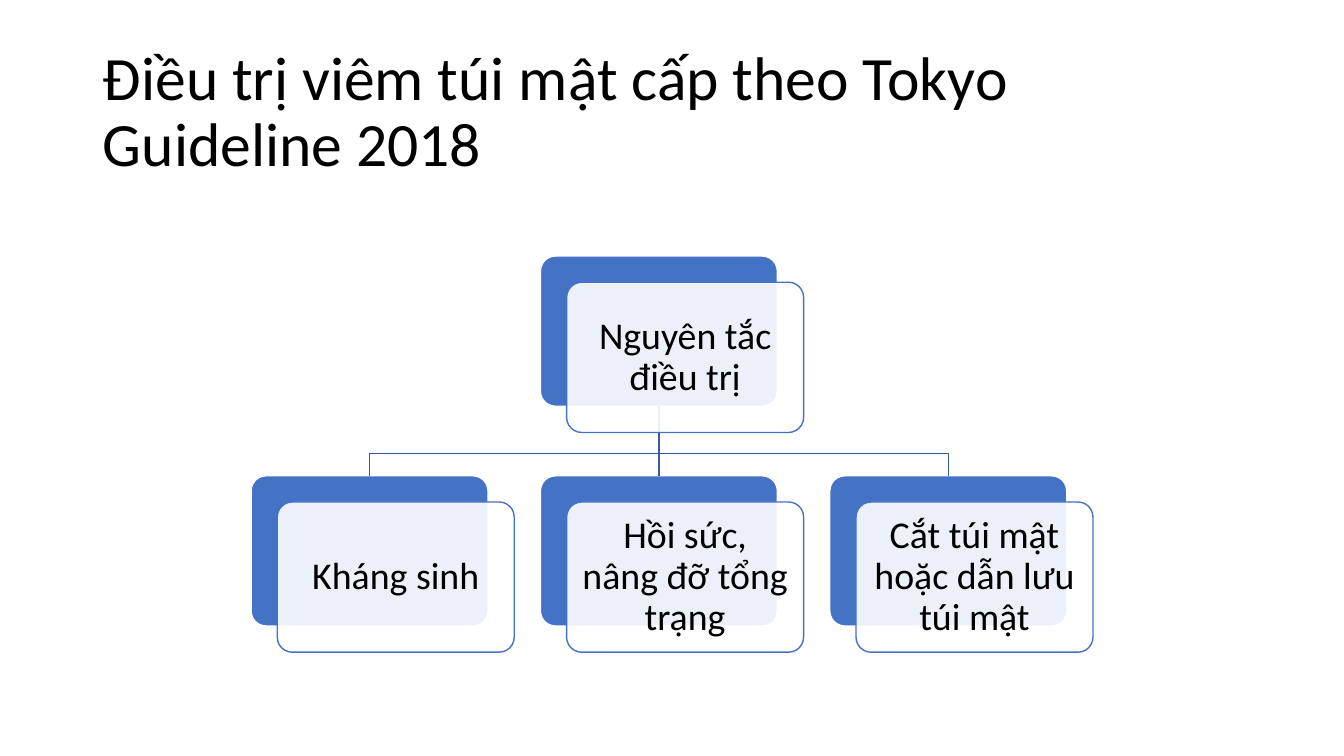
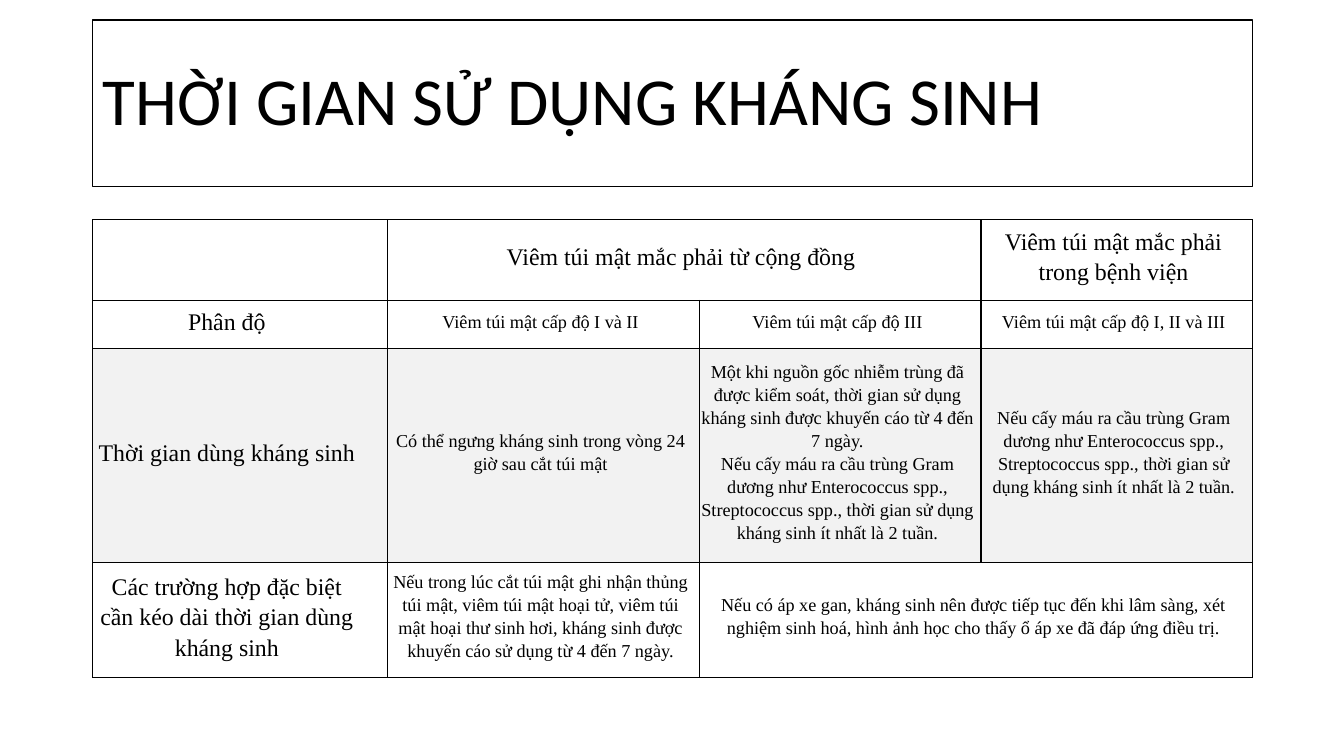
from dataclasses import dataclass

from lxml import etree
from pptx import Presentation
from pptx import util as u
from pptx.dml.color import RGBColor
from pptx.enum import shapes, text
from pptx.oxml import ns

COLORS = {
    "text": "000000",
    "paper": "FFFFFF",
    "accent": "4472C4",
    "branch": "365B9D",
    "shade": "F2F2F2",
}
HEADING_FONT = "Calibri"
TABLE_FONT = "Times New Roman"
LEFT, CONTENT_WIDTH = 0.92, 11.5
CARD_WIDTH, CARD_HEIGHT, CARD_OFFSET = 2.35, 1.49, 0.25
COLUMN_STEP = 2.87
ROOT_TOP, CHILD_TOP, BRANCH_Y = 2.54, 4.72, 4.5


@dataclass(frozen=True)
class Card:
    label: str
    left: float
    top: float

    @property
    def center(self) -> float:
        return self.left + CARD_WIDTH / 2


@dataclass(frozen=True)
class Entry:
    row: int
    column: int
    paragraphs: tuple[str, ...]
    span: int = 1


FIRST_LEFT = 2.49
ROOT = Card("Nguyên tắc điều trị", FIRST_LEFT + COLUMN_STEP, ROOT_TOP)
PRINCIPLES = [
    Card(label, FIRST_LEFT + index * COLUMN_STEP, CHILD_TOP)
    for index, label in enumerate((
        "Kháng sinh",
        "Hồi sức, nâng đỡ tổng trạng",
        "Cắt túi mật hoặc dẫn lưu túi mật",
    ))
]

COLUMN_WIDTHS = (2.92, 3.1, 2.79, 2.69)
ROW_HEIGHTS = (0.8, 0.48, 2.12, 1.14)
SHADED_ROW = 2
GRAM_POSITIVE = (
    "Nếu cấy máu ra cầu trùng Gram dương như Enterococcus spp., "
    "Streptococcus spp., thời gian sử dụng kháng sinh ít nhất là 2 tuần."
)
ENTRIES = (
    Entry(0, 1, ("Viêm túi mật mắc phải từ cộng đồng",), 2),
    Entry(0, 3, ("Viêm túi mật mắc phải trong bệnh viện",)),
    Entry(1, 0, ("Phân độ",)),
    Entry(1, 1, ("Viêm túi mật cấp độ I và II",)),
    Entry(1, 2, ("Viêm túi mật cấp độ III",)),
    Entry(1, 3, ("Viêm túi mật cấp độ I, II và III",)),
    Entry(2, 0, ("Thời gian dùng kháng sinh",)),
    Entry(2, 1, ("Có thể ngưng kháng sinh trong vòng 24 giờ sau cắt túi mật",)),
    Entry(2, 2, (
        "Một khi nguồn gốc nhiễm trùng đã được kiểm soát, thời gian sử dụng "
        "kháng sinh được khuyến cáo từ 4 đến 7 ngày.",
        GRAM_POSITIVE,
    )),
    Entry(2, 3, (GRAM_POSITIVE,)),
    Entry(3, 0, ("Các trường hợp đặc biệt cần kéo dài thời gian dùng kháng sinh",)),
    Entry(3, 1, (
        "Nếu trong lúc cắt túi mật ghi nhận thủng túi mật, viêm túi mật hoại tử, "
        "viêm túi mật hoại thư sinh hơi, kháng sinh được khuyến cáo sử dụng "
        "từ 4 đến 7 ngày.",
    )),
    Entry(3, 2, (
        "Nếu có áp xe gan, kháng sinh nên được tiếp tục đến khi lâm sàng, xét "
        "nghiệm sinh hoá, hình ảnh học cho thấy ổ áp xe đã đáp ứng điều trị.",
    ), 2),
)


def rgb(name: str) -> RGBColor:
    return RGBColor.from_string(COLORS[name])


def set_fill(target, color: str) -> None:
    target.fill.solid()
    target.fill.fore_color.rgb = rgb(color)


def set_line(target, color: str) -> None:
    target.line.color.rgb = rgb(color)
    target.line.width = u.Pt(1)


def set_margins(target, left: float, top: float, right: float, bottom: float) -> None:
    target.margin_left = u.Inches(left)
    target.margin_top = u.Inches(top)
    target.margin_right = u.Inches(right)
    target.margin_bottom = u.Inches(bottom)


def write(frame, paragraphs: tuple[str, ...], font: str, size: float,
          spacing: float, align=text.PP_ALIGN.CENTER) -> None:
    for index, content in enumerate(paragraphs):
        paragraph = frame.add_paragraph() if index else frame.paragraphs[0]
        paragraph.alignment = align
        paragraph.line_spacing = spacing
        run = paragraph.add_run()
        run.text = content
        run.font.name = font
        run.font.size = u.Pt(size)
        run.font.color.rgb = rgb("text")


def add_titled_slide(prs, heading: str, top: float, height: float, size: float):
    slide = prs.slides.add_slide(prs.slide_layouts[5])
    title = slide.shapes.title
    title.left, title.top = u.Inches(LEFT), u.Inches(top)
    title.width, title.height = u.Inches(CONTENT_WIDTH), u.Inches(height)
    frame = title.text_frame
    frame.word_wrap = True
    frame.auto_size = text.MSO_AUTO_SIZE.NONE
    frame.vertical_anchor = text.MSO_ANCHOR.MIDDLE
    write(frame, (heading,), HEADING_FONT, size, 0.9, text.PP_ALIGN.LEFT)
    return slide


def add_panel(slide, card: Card, offset: float, fill: str, line: str):
    panel = slide.shapes.add_shape(
        shapes.MSO_SHAPE.ROUNDED_RECTANGLE,
        u.Inches(card.left + offset), u.Inches(card.top + offset),
        u.Inches(CARD_WIDTH), u.Inches(CARD_HEIGHT))
    panel.adjustments[0] = 0.1
    panel.shadow.inherit = False
    set_fill(panel, fill)
    set_line(panel, line)
    return panel


def add_label(slide, card: Card) -> None:
    panel = add_panel(slide, card, CARD_OFFSET + 0.01, "paper", "accent")
    white = panel.fill._xPr.find(".//" + ns.qn("a:srgbClr"))
    etree.SubElement(white, ns.qn("a:alpha"), val="90000")
    frame = panel.text_frame
    frame.word_wrap = True
    frame.vertical_anchor = text.MSO_ANCHOR.MIDDLE
    set_margins(frame, 0.11, 0.11, 0.11, 0.11)
    write(frame, (card.label,), HEADING_FONT, 27, 0.9)


def add_straight_branch(slide, root_panel, child_panel) -> None:
    branch = slide.shapes.add_connector(shapes.MSO_CONNECTOR.STRAIGHT, 0, 0, 0, 0)
    branch.begin_connect(root_panel, 2)
    branch.end_connect(child_panel, 0)
    set_line(branch, "branch")
    etree.SubElement(branch._element.spPr, ns.qn("a:effectLst"))


def add_bent_branch(slide, child: Card) -> None:
    start, end = u.Inches(ROOT.center), u.Inches(child.center)
    bend = u.Inches(BRANCH_Y)
    builder = slide.shapes.build_freeform(start, u.Inches(ROOT_TOP + CARD_HEIGHT))
    builder.add_line_segments(
        [(start, bend), (end, bend), (end, u.Inches(CHILD_TOP))], close=False)
    branch = builder.convert_to_shape()
    branch.fill.background()
    branch.shadow.inherit = False
    set_line(branch, "branch")


def build_principles(prs) -> None:
    slide = add_titled_slide(
        prs, "Điều trị viêm túi mật cấp theo Tokyo Guideline 2018", 0.4, 1.45, 44)
    cards = [ROOT, *PRINCIPLES]
    panels = [add_panel(slide, card, 0, "accent", "paper") for card in cards]
    for child, panel in zip(PRINCIPLES, panels[1:]):
        if child.left == ROOT.left:
            add_straight_branch(slide, panels[0], panel)
        else:
            add_bent_branch(slide, child)
    for card in cards:
        add_label(slide, card)


def add_borders(cell) -> None:
    properties = cell._tc.get_or_add_tcPr()
    for index, side in enumerate(("lnL", "lnR", "lnT", "lnB")):
        border = etree.Element(ns.qn(f"a:{side}"), w=str(u.Pt(1)))
        solid = etree.SubElement(border, ns.qn("a:solidFill"))
        etree.SubElement(solid, ns.qn("a:srgbClr"), val=COLORS["text"])
        properties.insert(index, border)


def build_durations(prs) -> None:
    slide = add_titled_slide(prs, "THỜI GIAN SỬ DỤNG KHÁNG SINH", 0.2, 1.65, 48)
    set_fill(slide.shapes.title, "paper")
    set_line(slide.shapes.title, "text")
    durations = slide.shapes.add_table(
        len(ROW_HEIGHTS), len(COLUMN_WIDTHS), u.Inches(LEFT), u.Inches(2.18),
        u.Inches(CONTENT_WIDTH), u.Inches(sum(ROW_HEIGHTS))).table
    durations.first_row = False
    durations.horz_banding = False
    for column, width in zip(durations.columns, COLUMN_WIDTHS):
        column.width = u.Inches(width)
    for index, height in enumerate(ROW_HEIGHTS):
        row = durations.rows[index]
        row.height = u.Inches(height)
        for cell in row.cells:
            set_fill(cell, "shade" if index == SHADED_ROW else "paper")
            add_borders(cell)
    for entry in ENTRIES:
        cell = durations.cell(entry.row, entry.column)
        if entry.span > 1:
            cell.merge(durations.cell(entry.row, entry.column + entry.span - 1))
        cell.vertical_anchor = text.MSO_ANCHOR.MIDDLE
        set_margins(cell, 0, 0.03 if entry.row else 0.02,
                    0.06 if entry.column else 0.26, 0.11)
        is_header = entry.row == 0 or entry.column == 0
        write(cell.text_frame, entry.paragraphs, TABLE_FONT,
              17 if is_header else 13, 1.15)


def main() -> None:
    prs = Presentation()
    prs.slide_width, prs.slide_height = u.Inches(13.33), u.Inches(7.5)
    build_principles(prs)
    build_durations(prs)
    prs.save("out.pptx")


if __name__ == "__main__":
    main()
